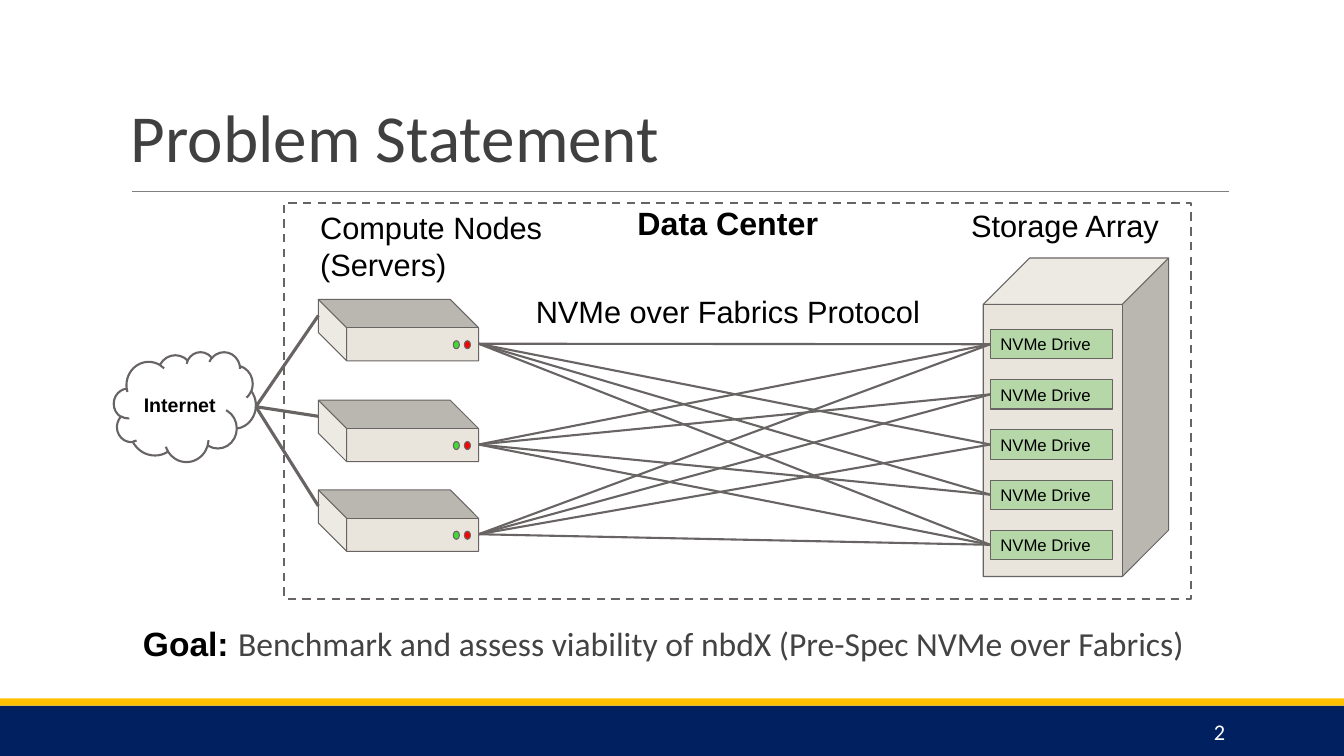
from lxml import etree
from pptx import Presentation
from pptx.dml.color import RGBColor
from pptx.enum.dml import MSO_LINE
from pptx.enum.shapes import MSO_CONNECTOR as CONNECTOR, MSO_SHAPE as SHAPE
from pptx.enum.text import MSO_ANCHOR as ANCHOR, PP_ALIGN as ALIGN
from pptx.oxml.ns import qn
from pptx.util import Inches, Pt

COLORS = {
    "navy": "002060", "gold": "FFC000", "rule": "7F7F7F", "title": "404040",
    "goal": "434343", "outline": "696464", "case": "E9E5DC", "drive": "B6D7A8",
    "red": "FF0000", "green": "42D934", "black": "000000", "white": "FFFFFF",
}
SERVER_TOPS = (0.96, 1.96, 2.85)
SERVER_WIDTH, SERVER_HEIGHT = 1.59, 0.61
DRIVE_COUNT, DRIVE_PITCH = 5, 0.4975


def color(name):
    return RGBColor.from_string(COLORS[name])


def write_text(shape, runs, size=22, align=ALIGN.LEFT, anchor=ANCHOR.TOP,
               inset_x=0.1, inset_y=0.1, spacing=None):
    frame = shape.text_frame
    frame.word_wrap = True
    frame.vertical_anchor = anchor
    frame.margin_left = frame.margin_right = Inches(inset_x)
    frame.margin_top = frame.margin_bottom = Inches(inset_y)
    paragraph = frame.paragraphs[0]
    paragraph.alignment = align
    paragraph.line_spacing = spacing
    for words, font, tint, bold in runs:
        run = paragraph.add_run()
        run.text = words
        run.font.name = font
        run.font.size = Pt(size)
        run.font.bold = bold
        run.font.color.rgb = color(tint)


def add_text(slide, box, words, font="Arial", tint="black", bold=False, **options):
    shape = slide.shapes.add_textbox(*map(Inches, box))
    write_text(shape, [(words, font, tint, bold)], **options)


def add_block(slide, kind, box, fill=None, line="outline", width=0.75):
    shape = slide.shapes.add_shape(kind, *map(Inches, box))
    shape.shadow.inherit = False
    if fill:
        shape.fill.solid()
        shape.fill.fore_color.rgb = color(fill)
    else:
        shape.fill.background()
    if line:
        shape.line.color.rgb = color(line)
        shape.line.width = Pt(width)
    else:
        shape.line.fill.background()
    return shape


def add_line(slide, start, end, tint="outline", width=1.5):
    line = slide.shapes.add_connector(CONNECTOR.STRAIGHT, *map(Inches, (*start, *end)))
    line.line.color.rgb = color(tint)
    line.line.width = Pt(width)
    etree.SubElement(line._element.spPr, qn("a:effectLst"))
    return line


def add_header(slide, box):
    left, top, width, height = box
    add_line(slide, (left + 0.11, top + 1.69), (left + width, top + 1.69), "rule", 0.5)
    add_text(slide, (left, top, width, height), "Problem Statement", font="Calibri",
             tint="title", size=48, anchor=ANCHOR.BOTTOM, inset_y=0.05, spacing=0.85)


def add_footer(slide, box):
    left, top, width, height = box
    add_block(slide, SHAPE.RECTANGLE, (left, top + 0.07, width, height - 0.07), "navy", None)
    add_block(slide, SHAPE.RECTANGLE, (left, top, width, 0.07), "gold", None)
    add_text(slide, (left + 10.83, top + 0.13, 1.43, 0.4), "2", font="Calibri", tint="white",
             size=16, align=ALIGN.RIGHT, anchor=ANCHOR.MIDDLE, inset_y=0.05)


def add_storage_array(slide, box):
    left, top, width, height = box
    add_text(slide, (left - 0.22, top - 0.61, 2.19, 0.41), "Storage Array")
    add_block(slide, SHAPE.CUBE, box, "case")
    drives = []
    for index in range(DRIVE_COUNT):
        drive = add_block(slide, SHAPE.FLOWCHART_PROCESS,
                          (left + 0.07, top + 0.71 + index * DRIVE_PITCH, 1.21, 0.29), "drive")
        write_text(drive, [("NVMe Drive", "Arial", "black", False)], size=12,
                   anchor=ANCHOR.MIDDLE)
        drives.append(drive)
    return drives


def add_server(slide, box):
    left, top, width, height = box
    offset = (width - height) / 2
    case = add_block(slide, SHAPE.CUBE, (left + offset, top - offset, height, width), "case")
    case.adjustments[0] = 0.461
    case.rotation = 270
    for light, shift in (("green", 1.34), ("red", 1.45)):
        add_block(slide, SHAPE.OVAL, (left + shift, top + 0.41, 0.06, 0.08), light)
    return (left, top + 0.16), (left + width, top + 0.44)


def add_data_center(slide, box):
    left, top, width, height = box
    border = add_block(slide, SHAPE.RECTANGLE, box, width=1.5)
    border.line.dash_style = MSO_LINE.DASH
    drives = add_storage_array(slide, (left + 6.94, top + 0.55, 1.84, 3.16))
    uplinks = []
    for row, server_top in enumerate(SERVER_TOPS):
        uplink, port = add_server(
            slide, (left + 0.34, top + server_top, SERVER_WIDTH, SERVER_HEIGHT))
        uplinks.append(uplink)
        for index, drive in enumerate(drives):
            if index != row + 1:
                link = add_line(slide, port, port)
                link.end_connect(drive, 1)
    add_text(slide, (left + 0.26, top - 0.04, 2.6, 0.48), "Compute Nodes (Servers)")
    add_text(slide, (left + 2.4, top + 0.79, 4.27, 0.39), "NVMe over Fabrics Protocol")
    add_text(slide, (left - 0.14, top - 0.09, 9.09, 0.51), "Data Center",
             bold=True, size=23, align=ALIGN.CENTER)
    return uplinks


def add_internet(slide, box, uplinks):
    left, top, width, height = box
    cloud = add_block(slide, SHAPE.CLOUD, box, width=1.5)
    write_text(cloud, [("Internet", "Arial", "black", True)], size=14,
               align=ALIGN.CENTER, anchor=ANCHOR.MIDDLE)
    for uplink in uplinks:
        add_line(slide, (left + width, top + height / 2), uplink, width=2.25)


def add_goal(slide, box):
    shape = slide.shapes.add_textbox(*map(Inches, box))
    goal = "Benchmark and assess viability of nbdX (Pre-Spec NVMe over Fabrics)"
    write_text(shape, [("Goal: ", "Arial", "black", True), (goal, "Calibri", "goal", False)],
               size=24)


def main():
    presentation = Presentation()
    presentation.slide_width = Inches(13.34)
    presentation.slide_height = Inches(7.5)
    slide = presentation.slides.add_slide(presentation.slide_layouts[6])
    add_footer(slide, (0, 6.93, 13.34, 0.57))
    add_header(slide, (1.2, 0.21, 11, 1.59))
    uplinks = add_data_center(slide, (2.82, 2.01, 9, 3.93))
    add_internet(slide, (1.13, 3.49, 1.41, 1.09), uplinks)
    add_goal(slide, (1.32, 6.08, 10.91, 0.78))
    presentation.save("out.pptx")


if __name__ == "__main__":
    main()
